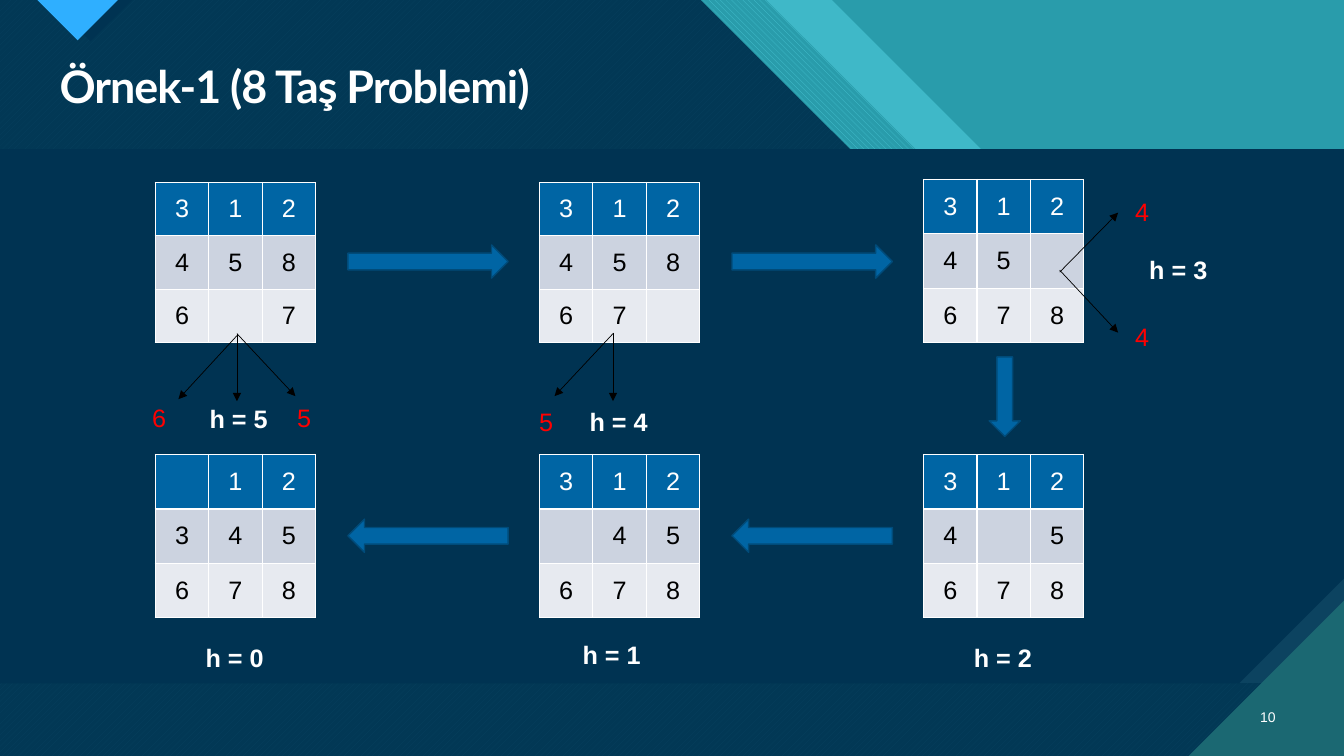
from dataclasses import dataclass

from lxml import etree
from pptx import Presentation
from pptx import util as u
from pptx.dml.color import RGBColor
from pptx.enum import dml, shapes, text
from pptx.oxml.ns import qn

COLORS = {
    "teal": "299CAB", "aqua": "47C3D3", "deep_teal": "1B6872", "navy": "003352",
    "slate": "0C4360", "sky": "2FAFFF", "blue": "0065A4", "blue_edge": "004B79",
    "row_dark": "CCD3E0", "row_light": "E7EAF0",
    "white": "FFFFFF", "black": "000000", "red": "FF0000",
}
WIDTH, HEIGHT = 13.33, 7.5
CELL_WIDTH = 0.53
BOARD_LEFTS = [1.54 + 3.81 * column for column in range(3)]
ROW_FILLS = ["blue", "row_dark", "row_light"]


@dataclass
class Polygon:
    points: list[tuple[float, float]]
    color: str
    stripe: dml.MSO_PATTERN | None = None
    back_color: str = ""
    opacity: int = 100


@dataclass
class Board:
    column: int
    top: float
    row_height: float
    rows: tuple[str, str, str]


@dataclass
class BlockArrow:
    left: float
    top: float
    width: float
    height: float
    rotation: int


@dataclass
class Label:
    wording: str
    left: float
    top: float
    width: float = 0.8
    color: str = "white"
    bold: bool = True
    size: int = 18
    align: text.PP_ALIGN = text.PP_ALIGN.LEFT


def band(top_x: float, right_y: float) -> list[tuple[float, float]]:
    """Outline of a page-wide layer whose right edge descends in 45 degree steps."""
    return [(0, 0), (top_x, 0), (top_x + 2.97, 2.97), (WIDTH - right_y + 2.97, 2.97),
            (WIDTH, right_y), (WIDTH, HEIGHT), (0, HEIGHT)]


BACKDROP = [
    Polygon([(0, 0), (WIDTH, 0), (WIDTH, HEIGHT), (0, HEIGHT)], "teal"),
    Polygon(band(8.25, 3.96), "aqua", opacity=74),
    Polygon(band(7.6, 4.47), "aqua", dml.MSO_PATTERN.WIDE_DOWNWARD_DIAGONAL, "teal"),
    Polygon(band(6.95, 5.12), "aqua", dml.MSO_PATTERN.WIDE_UPWARD_DIAGONAL, "deep_teal"),
    Polygon(band(6.95, 5.12), "navy", opacity=90),
    Polygon([(0.48, 0), (1.31, 0), (0.9, 0.41)], "navy"),
    Polygon([(0.37, 0), (1.17, 0), (0.77, 0.4)], "sky"),
    Polygon([(0, 1.48), (WIDTH, 1.48), (WIDTH, 6.78), (0, 6.78)], "slate"),
    Polygon([(0, 1.48), (WIDTH, 1.48), (WIDTH, 5.74), (12.29, 6.78), (0, 6.78)], "navy"),
    Polygon([(11.79, HEIGHT), (WIDTH, HEIGHT), (WIDTH, 5.96)], "deep_teal"),
]
BOARDS = [
    Board(0, 1.81, 0.53, ("312", "458", "6 7")),
    Board(1, 1.81, 0.53, ("312", "458", "67 ")),
    Board(2, 1.78, 0.54, ("312", "45 ", "678")),
    Board(2, 4.51, 0.54, ("312", "4 5", "678")),
    Board(1, 4.51, 0.54, ("312", " 45", "678")),
    Board(0, 4.51, 0.54, (" 12", "345", "678")),
]
BLOCK_ARROWS = [
    BlockArrow(left, top, 1.59, 0.33, rotation)
    for top, rotation in ((2.43, 0), (5.15, 180)) for left in (3.45, 7.26)
] + [BlockArrow(9.57, 3.78, 0.79, 0.31, 90)]
MOVES = [
    ((2.35, 3.33), (1.77, 3.96)), ((2.35, 3.31), (2.35, 3.98)), ((2.35, 3.31), (2.93, 3.93)),
    ((6.08, 3.3), (6.08, 3.98)), ((6.08, 3.31), (5.5, 3.93)),
    ((10.51, 2.68), (11.09, 3.3)), ((10.51, 2.7), (11.09, 2.11)),
]
LABELS = [
    Label("h = 5", 1.98, 3.95), Label("h = 4", 5.75, 3.98), Label("h = 3", 11.3, 2.47),
    Label("h = 2", 9.56, 6.32), Label("h = 1", 5.68, 6.29), Label("h = 0", 1.94, 6.32),
    *(Label(cost, left, top, 0.5, "red", False) for cost, left, top in (
        ("6", 1.41, 3.94), ("5", 2.85, 3.94), ("5", 5.25, 3.98),
        ("4", 11.16, 1.9), ("4", 11.16, 3.14))),
    Label("10", 12.25, 6.91, 0.5, bold=False, size=10, align=text.PP_ALIGN.RIGHT),
]


def rgb(name: str) -> RGBColor:
    return RGBColor.from_string(COLORS[name])


def paint(fill, name: str) -> None:
    fill.solid()
    fill.fore_color.rgb = rgb(name)


def style(paragraph, size: int, color: str, bold: bool = False, name: str = "Arial") -> None:
    font = paragraph.font
    font.name, font.size, font.bold = name, u.Pt(size), bold
    font.color.rgb = rgb(color)


def add_polygon(slide, polygon: Polygon) -> None:
    points = [(u.Inches(x), u.Inches(y)) for x, y in polygon.points]
    builder = slide.shapes.build_freeform(*points[0])
    builder.add_line_segments(points[1:], close=True)
    shape = builder.convert_to_shape()
    shape.shadow.inherit = False
    shape.line.fill.background()
    if polygon.stripe is not None:
        shape.fill.patterned()
        shape.fill.pattern = polygon.stripe
        shape.fill.fore_color.rgb = rgb(polygon.color)
        shape.fill.back_color.rgb = rgb(polygon.back_color)
        return
    paint(shape.fill, polygon.color)
    if polygon.opacity < 100:
        color = shape.element.spPr.find(qn("a:solidFill"))[0]
        etree.SubElement(color, qn("a:alpha"), val=str(polygon.opacity * 1000))


def add_cell_borders(cell) -> None:
    properties = cell._tc.get_or_add_tcPr()
    for index, side in enumerate(("a:lnL", "a:lnR", "a:lnT", "a:lnB")):
        line = etree.Element(qn(side), w=str(u.Pt(1)))
        fill = etree.SubElement(line, qn("a:solidFill"))
        etree.SubElement(fill, qn("a:srgbClr"), val=COLORS["white"])
        properties.insert(index, line)


def add_board(slide, board: Board) -> None:
    table = slide.shapes.add_table(
        3, 3, u.Inches(BOARD_LEFTS[board.column]), u.Inches(board.top),
        u.Inches(3 * CELL_WIDTH), u.Inches(3 * board.row_height)).table
    for row, tiles in enumerate(board.rows):
        for column, tile in enumerate(tiles):
            cell = table.cell(row, column)
            paint(cell.fill, ROW_FILLS[row])
            add_cell_borders(cell)
            cell.vertical_anchor = text.MSO_ANCHOR.MIDDLE
            cell.text = tile.strip()
            paragraph = cell.text_frame.paragraphs[0]
            paragraph.alignment = text.PP_ALIGN.CENTER
            style(paragraph, 18, "black" if row else "white")


def add_block_arrow(slide, arrow: BlockArrow) -> None:
    shape = slide.shapes.add_shape(
        shapes.MSO_SHAPE.RIGHT_ARROW, u.Inches(arrow.left), u.Inches(arrow.top),
        u.Inches(arrow.width), u.Inches(arrow.height))
    shape.rotation = arrow.rotation
    shape.shadow.inherit = False
    paint(shape.fill, "blue")
    shape.line.color.rgb = rgb("blue_edge")
    shape.line.width = u.Pt(1)


def add_move(slide, start: tuple[float, float], end: tuple[float, float]) -> None:
    """Thin arrow from a tile to the cost of moving it."""
    connector = slide.shapes.add_connector(
        shapes.MSO_CONNECTOR.STRAIGHT, *(u.Inches(value) for value in start + end))
    connector.line.color.rgb = rgb("black")
    connector.line.width = u.Pt(0.5)
    etree.SubElement(connector.line._get_or_add_ln(), qn("a:tailEnd"), type="triangle")
    etree.SubElement(connector.element.spPr, qn("a:effectLst"))


def add_label(slide, label: Label) -> None:
    frame = slide.shapes.add_textbox(u.Inches(label.left), u.Inches(label.top),
                                     u.Inches(label.width), u.Inches(0.4)).text_frame
    frame.word_wrap = True
    frame.vertical_anchor = text.MSO_ANCHOR.MIDDLE
    paragraph = frame.paragraphs[0]
    paragraph.text, paragraph.alignment = label.wording, label.align
    style(paragraph, label.size, label.color, label.bold)


def set_title(slide, wording: str) -> None:
    title = slide.shapes.title
    title.element.getparent().append(title.element)  # bring in front of the backdrop
    title.left, title.top = u.Inches(0.49), u.Inches(0.59)
    title.width, title.height = u.Inches(12.26), u.Inches(0.59)
    title.text_frame.vertical_anchor = text.MSO_ANCHOR.TOP
    paragraph = title.text_frame.paragraphs[0]
    paragraph.text, paragraph.alignment = wording, text.PP_ALIGN.LEFT
    paragraph.line_spacing = 0.9
    style(paragraph, 32, "white", True, "Lato")
    paragraph.runs[0].font._element.set("spc", "-70")


def main() -> None:
    presentation = Presentation()
    presentation.slide_width, presentation.slide_height = u.Inches(WIDTH), u.Inches(HEIGHT)
    slide = presentation.slides.add_slide(presentation.slide_layouts[5])
    paint(slide.background.fill, "aqua")
    for polygon in BACKDROP:
        add_polygon(slide, polygon)
    set_title(slide, "Örnek-1 (8 Taş Problemi)")
    for board in BOARDS:
        add_board(slide, board)
    for arrow in BLOCK_ARROWS:
        add_block_arrow(slide, arrow)
    for start, end in MOVES:
        add_move(slide, start, end)
    for label in LABELS:
        add_label(slide, label)
    presentation.save("out.pptx")


if __name__ == "__main__":
    main()
